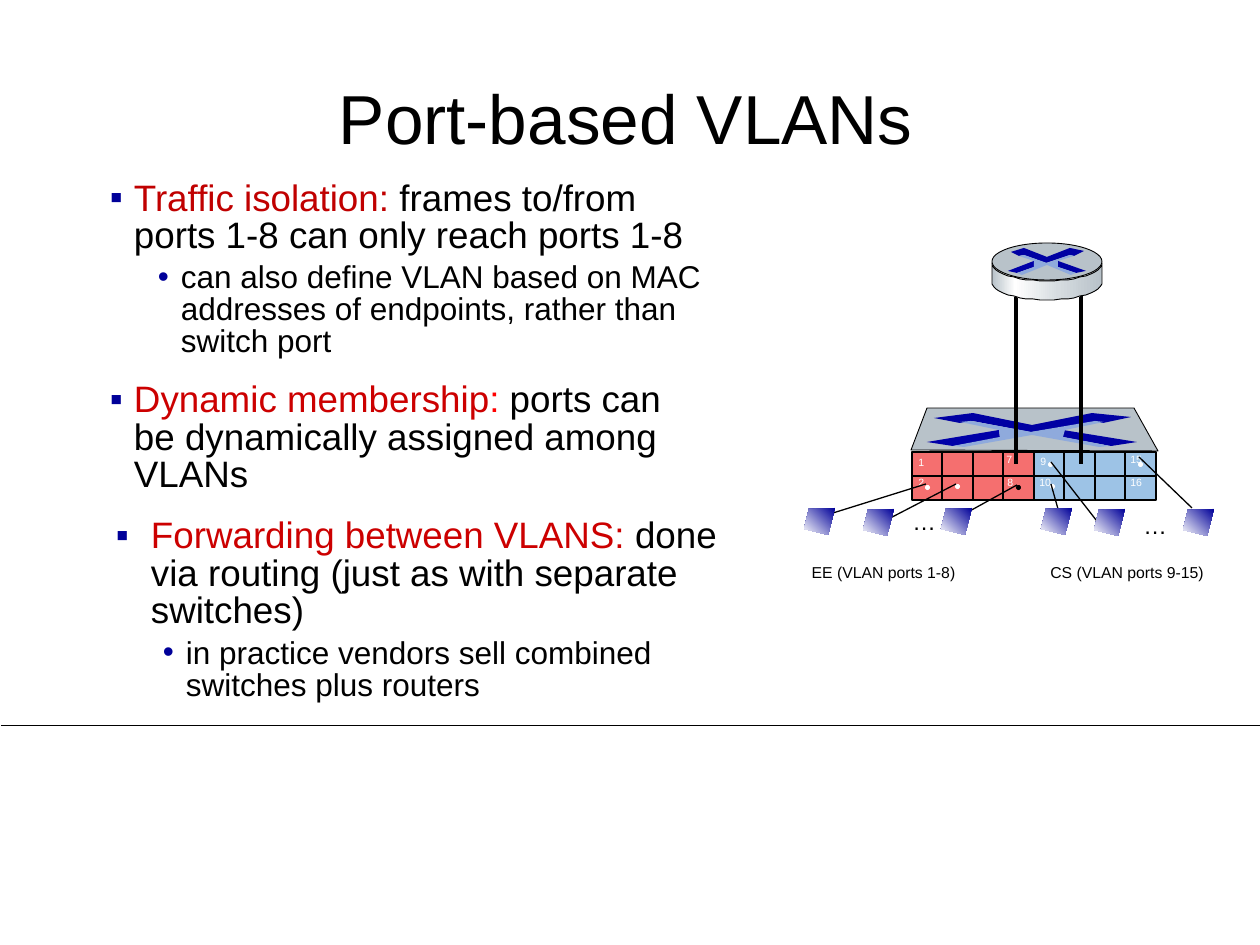
from math import cos, pi, sin
from typing import NamedTuple

from lxml import etree
from pptx import Presentation
from pptx.dml.color import RGBColor
from pptx.enum.shapes import MSO_CONNECTOR, MSO_SHAPE
from pptx.enum.text import MSO_ANCHOR, MSO_AUTO_SIZE, PP_ALIGN
from pptx.oxml.ns import qn
from pptx.util import Emu, Pt

RECT, OVAL = MSO_SHAPE.RECTANGLE, MSO_SHAPE.OVAL
LINE = MSO_CONNECTOR.STRAIGHT
LEFT, CENTER = PP_ALIGN.LEFT, PP_ALIGN.CENTER
TOP, MIDDLE = MSO_ANCHOR.TOP, MSO_ANCHOR.MIDDLE
GROW, FIXED = MSO_AUTO_SIZE.SHAPE_TO_FIT_TEXT, MSO_AUTO_SIZE.NONE

SCALE = 914400 / 126
BLACK, WHITE, NAVY = "000000", "FFFFFF", "000099"
STEEL, ROYAL, SKY = "B8C2C9", "0000A3", "8FAADC"
RED = "CC0000"
Points = list[tuple[int, int]]


class Box(NamedTuple):
    """Left, top, width and height in px."""
    x: int
    y: int
    w: int
    h: int


class Run(NamedTuple):
    """Words in one colour."""
    words: str
    ink: str = BLACK


class Item(NamedTuple):
    """One bulleted paragraph."""
    mark: str
    size: int
    indent: int
    hang: int
    runs: list[Run]


class Label(NamedTuple):
    """One line of plain text."""
    words: str
    box: Box
    size: float
    ink: str = BLACK
    align: PP_ALIGN = LEFT
    wrap: bool = False


class Bank(NamedTuple):
    """One half of the switch front."""
    box: Box
    fill: str
    ports: list[tuple[str, int, int, int]]
    dots: list[tuple[int, int, str]]


class Cross(NamedTuple):
    """The four parts of a crossed-arrows sign."""
    top: Points
    right: Points
    left: Points
    shade: Points


BANKS = [
    Bank(Box(912, 452, 122, 48), "F56F6F",
         [("1", 906, 450, 31), ("8", 995, 470, 31), ("2", 906, 470, 31), ("7", 994, 447, 31)],
         [(925, 485, WHITE), (955, 484, WHITE), (1016, 485, BLACK)]),
    Bank(Box(1034, 452, 122, 48), "9DC3E6",
         [("9", 1028, 449, 31), ("16", 1118, 470, 38), ("10", 1027, 470, 38), ("15", 1118, 447, 38)],
         [(1050, 484, WHITE), (1048, 462, WHITE), (1138, 462, WHITE)]),
]
SWITCH = Cross(
    [(1092, 413), (1131, 417), (1103, 423), (1095, 422), (1031, 432), (973, 421), (960, 423),
     (934, 418), (973, 413), (1032, 425)],
    [(1063, 430), (1137, 442), (1111, 446), (1063, 437)],
    [(999, 430), (1000, 438), (953, 446), (927, 442)],
    [(960, 422), (971, 421), (1031, 432), (1095, 421), (1104, 422), (1065, 430), (1063, 437),
     (1110, 446), (1099, 447), (1032, 435), (964, 447), (953, 446), (1000, 437), (999, 430)])
ROUTER = Cross(
    [(1070, 248), (1084, 251), (1074, 256), (1070, 255), (1046, 263), (1024, 255), (1019, 256),
     (1011, 252), (1024, 248), (1047, 257)],
    [(1058, 261), (1086, 271), (1076, 273), (1058, 267)],
    [(1034, 261), (1034, 267), (1017, 273), (1008, 271)],
    [(1019, 256), (1024, 255), (1047, 263), (1070, 255), (1074, 256), (1058, 261), (1058, 267),
     (1076, 273), (1071, 275), (1047, 265), (1022, 275), (1017, 273), (1034, 267), (1034, 261)])
CABLES = [(926, 484, 833, 513), (956, 484, 873, 527), (1017, 485, 948, 523),
          (1051, 484, 1062, 523), (1051, 462, 1100, 525), (1139, 457, 1192, 508)]
HOSTS = [(804, 508), (863, 509), (941, 508), (1041, 508), (1094, 509), (1183, 509)]
HOST = [(31, 0), (5, 1), (0, 21), (24, 27)]
LABELS = [
    Label("…", Box(1131, 505, 49, 42), 13.5),
    Label("EE (VLAN ports 1-8)", Box(794, 557, 179, 32), 9, BLACK, CENTER, True),
    Label("CS (VLAN ports 9-15)", Box(994, 557, 266, 32), 9, BLACK, CENTER, True),
    Label("…", Box(900, 501, 49, 42), 13.5),
]
NOTES = [
    (Box(101, 176, 627, 183), (9, 5), [
        Item("▪", 21, 24, 24, [Run("Traffic isolation: ", "C00000"),
                               Run("frames to/from ports 1-8 can only reach ports 1-8")]),
        Item("•", 18, 71, 23, [Run("can also define VLAN based on MAC addresses of endpoints, "
                                   "rather than switch port")])]),
    (Box(97, 377, 609, 166), (13, 6), [
        Item("▪", 21, 24, 24, [Run("Dynamic membership", RED), Run(":", "FF0000"),
                               Run(" ports can be dynamically assigned among VLANs")])]),
    (Box(103, 513, 641, 166), (13, 6), [
        Item("▪", 21, 35, 35, [Run("Forwarding between VLANS: ", RED),
                               Run("done via routing (just as with separate switches)")]),
        Item("•", 18, 70, 23, [Run("in practice vendors sell combined switches plus routers")])]),
]


def px(n: float) -> Emu:
    """Turn px into EMU."""
    return Emu(round(n * SCALE))


def tint(code: str) -> RGBColor:
    """Turn a hex string into a colour."""
    return RGBColor.from_string(code)


def paint(shape, fill: str | None, edge: float = 0) -> None:
    """Set the fill and the black edge of a shape."""
    shape.shadow.inherit = False
    if fill:
        shape.fill.solid()
        shape.fill.fore_color.rgb = tint(fill)
    if edge:
        shape.line.color.rgb = tint(BLACK)
        shape.line.width = Pt(edge)
    else:
        shape.line.fill.background()


def blend(shape, stops: list[tuple[int, str]], angle: int) -> None:
    """Fill a shape with a linear gradient."""
    shape.fill.gradient()
    shape.fill.gradient_angle = angle
    group = shape._element.spPr.find(".//" + qn("a:gsLst"))
    for old in list(group):
        group.remove(old)
    for spot, code in stops:
        stop = etree.SubElement(group, qn("a:gs"), pos=str(spot * 1000))
        etree.SubElement(stop, qn("a:srgbClr"), val=code)


def form(slide, kind: MSO_SHAPE, box: Box, fill: str, edge: float = 0):
    """Draw a preset shape."""
    shape = slide.shapes.add_shape(kind, *map(px, box))
    paint(shape, fill, edge)
    return shape


def poly(slide, points: Points, fill: str | None, edge: float = 0):
    """Draw a closed outline."""
    pen = slide.shapes.build_freeform(*points[0], scale=SCALE)
    pen.add_line_segments(points[1:], close=True)
    shape = pen.convert_to_shape()
    paint(shape, fill, edge)
    return shape


def wire(slide, ends: tuple[int, int, int, int], width: float):
    """Draw a straight black line."""
    line = slide.shapes.add_connector(LINE, *map(px, ends))
    line.line.color.rgb = tint(BLACK)
    line.line.width = Pt(width)
    etree.SubElement(line._element.spPr, qn("a:effectLst"))
    return line


def join(line, shape, start: int, stop: int) -> None:
    """Join a line to two sides of one shape."""
    line.begin_connect(shape, start)
    line.end_connect(shape, stop)


def write(para, run: Run, size: float) -> None:
    """Add one run to a paragraph."""
    part = para.add_run()
    part.text = run.words
    part.font.name = "Arial"
    part.font.size = Pt(size)
    part.font.color.rgb = tint(run.ink)


def label(slide, item: Label):
    """Draw one line of text."""
    frame = slide.shapes.add_textbox(*map(px, item.box)).text_frame
    frame.word_wrap = item.wrap
    frame.auto_size = GROW
    para = frame.paragraphs[0]
    para.alignment = item.align
    write(para, Run(item.words, item.ink), item.size)
    return frame


def note(slide, box: Box, pad: tuple[int, int], items: list[Item]) -> None:
    """Draw a bulleted text box."""
    frame = slide.shapes.add_textbox(*map(px, box)).text_frame
    frame.word_wrap = True
    frame.margin_left = frame.margin_right = px(pad[0])
    frame.margin_top = frame.margin_bottom = px(pad[1])
    for i, item in enumerate(items):
        para = frame.add_paragraph() if i else frame.paragraphs[0]
        para.level = min(i, 1)
        para.line_spacing = 0.85
        para.space_before = Pt(4 if i else 0)
        props = para._p.get_or_add_pPr()
        props.set("marL", str(px(item.indent)))
        props.set("indent", str(-px(item.hang)))
        color = etree.SubElement(props, qn("a:buClr"))
        etree.SubElement(color, qn("a:srgbClr"), val=NAVY)
        etree.SubElement(props, qn("a:buFont"), typeface="Arial")
        etree.SubElement(props, qn("a:buChar"), char=item.mark)
        for run in item.runs:
            write(para, run, item.size)


def front(slide, bank: Bank) -> None:
    """Draw one bank of ports."""
    x, y, w, h = bank.box
    case = form(slide, RECT, bank.box, bank.fill, 1.5)
    join(wire(slide, (x, y + h // 2, x + w, y + h // 2), 0.75), case, 1, 3)
    for k in range(1, 4):
        col = x + k * w // 4
        line = wire(slide, (col, y, col, y + h), 0.75)
        if k == 2:
            join(line, case, 0, 2)
    for words, left, top, wide in bank.ports:
        label(slide, Label(words, Box(left, top, wide, 25), 6, WHITE))
    for left, top, fill in bank.dots:
        form(slide, OVAL, Box(left, top, 5, 5), fill)


def sign(slide, cross: Cross) -> None:
    """Draw the crossed arrows."""
    for points, fill in zip(cross, (ROYAL, ROYAL, "0000A8", SKY)):
        poly(slide, points, fill)


def router(slide) -> None:
    """Draw the router drum."""
    turns = [pi * k / 24 for k in range(25)]
    low = [(round(1047 + 55 * cos(t)), round(282 + 18 * sin(t))) for t in turns]
    drum = poly(slide, low + [(x, y - 19) for x, y in reversed(low)], None, 0.5)
    blend(drum, [(0, STEEL), (21, WHITE), (60, "D6DCE0"), (100, STEEL)], 0)
    form(slide, OVAL, Box(992, 243, 110, 37), STEEL, 0.5)
    sign(slide, ROUTER)


def main() -> None:
    """Build and save the slide."""
    deck = Presentation()
    deck.slide_width, deck.slide_height = px(1260), px(945)
    slide = deck.slides.add_slide(deck.slide_layouts[6])
    wire(slide, (1, 725, 1260, 725), 0.5)
    for bank in BANKS:
        front(slide, bank)
    title = label(slide, Label("Port-based VLANs", Box(83, 76, 1086, 92), 39.6, BLACK, CENTER, True))
    title.auto_size = FIXED
    title.vertical_anchor = MIDDLE
    title.paragraphs[0].line_spacing = 0.9
    poly(slide, [(911, 450), (927, 408), (1134, 408), (1158, 451)], STEEL, 0.5)
    sign(slide, SWITCH)
    for ends in CABLES:
        wire(slide, ends, 0.75)
    for item in LABELS:
        label(slide, item)
    for x, y in HOSTS:
        host = poly(slide, [(x + a, y + b) for a, b in HOST], None)
        blend(host, [(0, NAVY), (100, WHITE)], 225)
    for box, pad, items in NOTES:
        note(slide, box, pad, items)
    for x in (1016, 1081):
        wire(slide, (x, 276, x, 464), 1.75)
    router(slide)


    deck.save("out.pptx")


if __name__ == "__main__":
    main()
